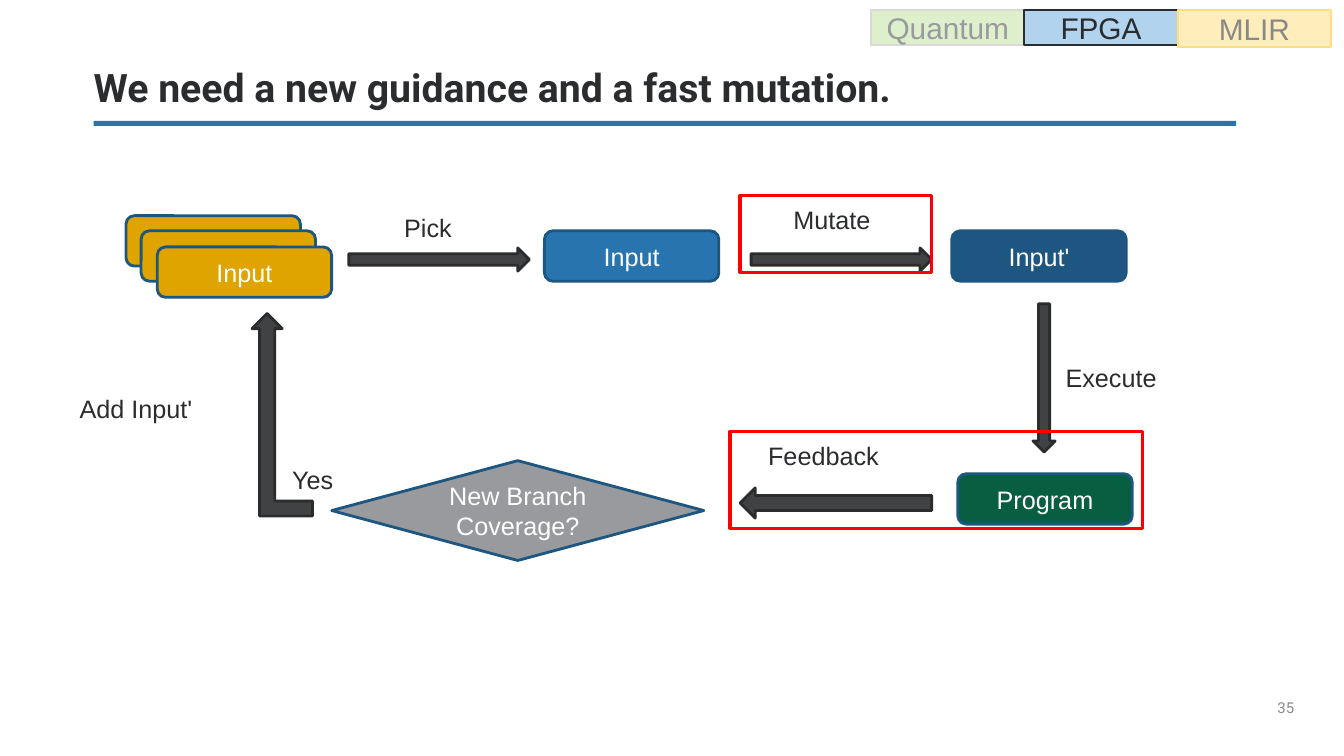
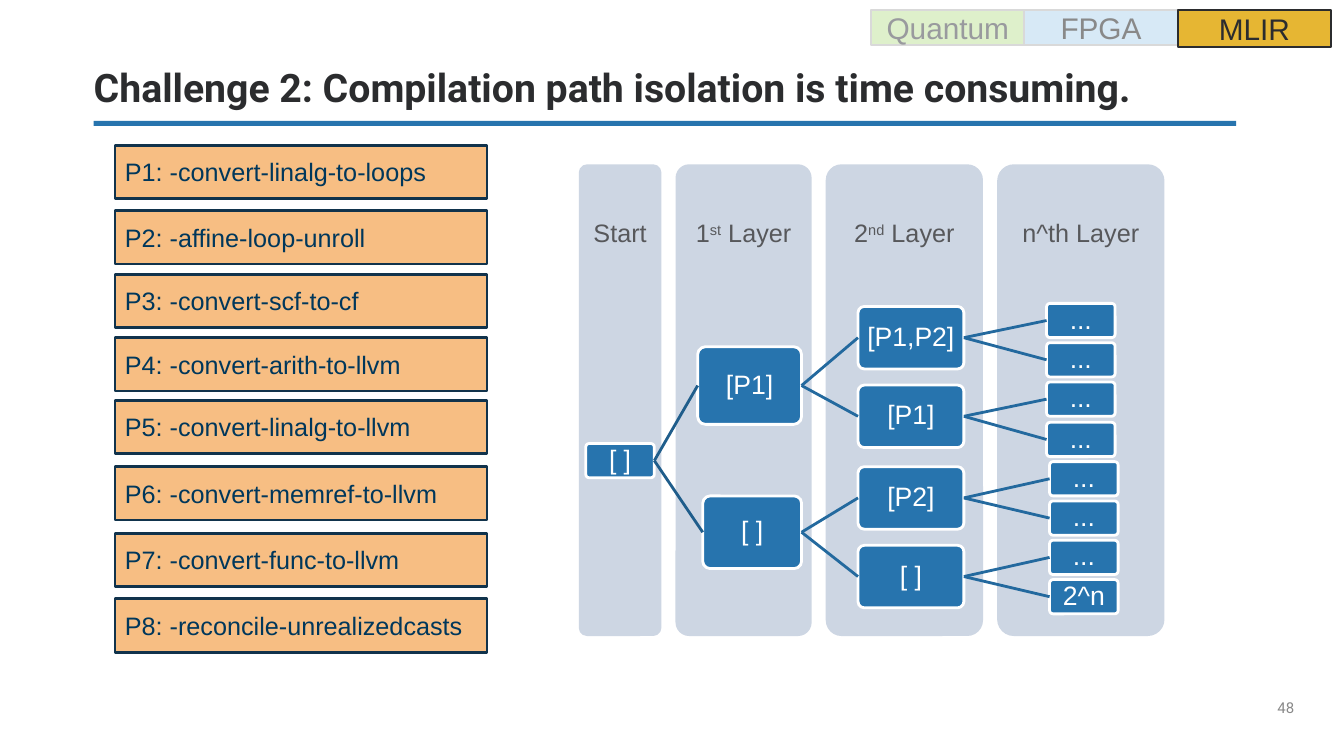
from pptx import Presentation
from pptx.dml.color import RGBColor
from pptx.enum.shapes import MSO_CONNECTOR, MSO_SHAPE as SHAPE
from pptx.enum.text import MSO_ANCHOR as ANCHOR, PP_ALIGN as ALIGN
from pptx.oxml.ns import qn
from pptx.oxml.xmlchemy import OxmlElement
from pptx.util import Pt

PX = 9144  # EMU per px, 100 px to the inch

# Colours
WHITE = RGBColor(0xFF, 0xFF, 0xFF)
INK = RGBColor(0x2B, 0x2C, 0x2E)
CHARCOAL = RGBColor(0x41, 0x42, 0x44)
SLATE = RGBColor(0x57, 0x58, 0x5B)
GREY = RGBColor(0x99, 0x9A, 0x9E)
DIM = RGBColor(0x89, 0x89, 0x89)
PALE_GREY = RGBColor(0xD9, 0xD9, 0xD9)
BLUE = RGBColor(0x27, 0x74, 0xAE)
NAVY = RGBColor(0x1D, 0x56, 0x81)
EDGE_FIRST = RGBColor(0x1F, 0x5D, 0x8B)
EDGE = RGBColor(0x23, 0x69, 0x9E)
COLUMN = RGBColor(0xCD, 0xD6, 0xE3)
GOLD = RGBColor(0xE0, 0xA4, 0x00)
GREEN = RGBColor(0x07, 0x5E, 0x41)
RED = RGBColor(0xFF, 0x00, 0x00)
PEACH = RGBColor(0xF7, 0xBE, 0x83)
PASS_LINE = RGBColor(0x11, 0x33, 0x4C)
PASS_TEXT = RGBColor(0x00, 0x37, 0x5B)
PALE_GREEN = RGBColor(0xC8, 0xE7, 0xA8)
SKY = RGBColor(0x9E, 0xC9, 0xE9)
PALE_SKY = RGBColor(0xCE, 0xE4, 0xF4)
CREAM = RGBColor(0xFF, 0xE9, 0xAA)
CREAM_LINE = RGBColor(0xFF, 0xDD, 0x80)

# Section tabs: height, opacity, dimmed and active (fill, line, text)
TABS = {
    "Quantum": (35, 59, (PALE_GREEN, PALE_GREY, GREY), (PALE_GREEN, INK, INK)),
    "FPGA": (35, 80, (PALE_SKY, PALE_GREY, DIM), (SKY, INK, INK)),
    "MLIR": (37, 80, (CREAM, CREAM_LINE, DIM), (GOLD, INK, INK)),
}


class Deck:
    BODY = {"name": "Arial", "size": Pt(18)}
    TITLE = {"name": "Roboto", "size": Pt(28), "bold": True}
    NUMBER = {"name": "Roboto", "size": Pt(10.7)}
    TAB = {"name": "Arial", "size": Pt(21.3)}
    NODE = {"name": "Arial", "size": Pt(19)}

    def __init__(self, prs):
        self.prs = prs
        self.s = None

    def slide(self, title, number):
        """Start a slide with its title, rule and page number."""
        self.s = self.prs.slides.add_slide(self.prs.slide_layouts[6])
        self.shape(SHAPE.RECTANGLE, (93, 120, 1133, 5), BLUE)
        self.label((1267, 693, 66, 46), number, DIM, self.NUMBER, inset=0)
        self.label((93, 68, 1133, 42), title, INK, self.TITLE, inset=0,
                   anchor=ANCHOR.BOTTOM, spacing=0.9)

    def put_text(self, sp, text, color, font=BODY, align=ALIGN.LEFT,
                 anchor=ANCHOR.MIDDLE, inset=None, spacing=None):
        """Fill a shape with one paragraph; odd parts of a tuple are raised."""
        tf = sp.text_frame
        frame = {"word_wrap": True, "vertical_anchor": anchor}
        if inset is not None:
            sides = ("left", "top", "right", "bottom")
            frame.update({f"margin_{side}": inset * PX for side in sides})
        for name, value in frame.items():
            setattr(tf, name, value)
        p = tf.paragraphs[0]
        p.alignment, p.line_spacing = align, spacing
        for i, part in enumerate((text,) if isinstance(text, str) else text):
            r = p.add_run()
            r.text = part
            for name, value in font.items():
                setattr(r.font, name, value)
            r.font.color.rgb = color
            if i % 2:
                r.font._element.set("baseline", "30000")

    def label(self, box, text, color=INK, font=BODY, anchor=ANCHOR.TOP, **style):
        sp = self.s.shapes.add_textbox(*(v * PX for v in box))
        self.put_text(sp, text, color, font, anchor=anchor, **style)

    def shape(self, kind, box, fill=None, line=None, width=2, opacity=100,
              adj=None, rotation=0, flip=False):
        sp = self.s.shapes.add_shape(kind, *(v * PX for v in box))
        sp.shadow.inherit = False
        sp.rotation = rotation
        if adj is not None:
            sp.adjustments[0] = adj
        if flip:
            sp._element.spPr.xfrm.set("flipH", "1")
        if fill is None:
            sp.fill.background()
        else:
            sp.fill.solid()
            sp.fill.fore_color.rgb = fill
        if opacity < 100:
            alpha = OxmlElement("a:alpha")
            alpha.set("val", str(opacity * 1000))
            sp._element.spPr.find(qn("a:solidFill"))[0].append(alpha)
        if line is None:
            sp.line.fill.background()
        else:
            sp.line.color.rgb = line
            sp.line.width = Pt(width)
        return sp

    def box(self, x, y, fill, text=None):
        """Rounded step of the flow."""
        sp = self.shape(SHAPE.ROUNDED_RECTANGLE, (x, y, 173, 50), fill, NAVY)
        if text:
            self.put_text(sp, text, WHITE, align=ALIGN.CENTER)

    def arrow(self, box, rotation=0, kind=SHAPE.RIGHT_ARROW, flip=False):
        self.shape(kind, box, CHARCOAL, INK, rotation=rotation, flip=flip)

    def frame(self, box):
        self.shape(SHAPE.RECTANGLE, box, line=RED, width=2.25)

    def node(self, box, text):
        sp = self.shape(SHAPE.ROUNDED_RECTANGLE, box, BLUE, WHITE, adj=0.1)
        self.put_text(sp, text, WHITE, self.NODE, ALIGN.CENTER, inset=1, spacing=0.9)
        return sp

    def edge(self, parent, child, color):
        c = self.s.shapes.add_connector(MSO_CONNECTOR.STRAIGHT, 0, 0, 0, 0)
        c.begin_connect(parent, 3)
        c.end_connect(child, 1)
        c.line.color.rgb = color
        c.line.width = Pt(2)
        c._element.spPr.append(OxmlElement("a:effectLst"))

    def tabs(self, active):
        for i, (name, (height, opacity, dimmed, lit)) in enumerate(TABS.items()):
            fill, line, color = lit if name == active else dimmed
            sp = self.shape(SHAPE.RECTANGLE, (864 + 152 * i, 10, 152, height),
                            fill, line, 1.5, opacity)
            self.put_text(sp, name, color, self.TAB, ALIGN.CENTER)


def fuzzing_loop(deck):
    deck.slide("We need a new guidance and a fast mutation.", "35")

    # Steps
    for x, y, text in ((125, 214, None), (140, 229, None), (156, 245, "Input")):
        deck.box(x, y, GOLD, text)
    deck.box(540, 229, BLUE, "Input")
    deck.box(944, 229, NAVY, "Input'")
    deck.box(950, 470, GREEN, "Program")
    sp = deck.shape(SHAPE.FLOWCHART_DECISION, (329, 457, 369, 99), GREY, NAVY)
    deck.put_text(sp, "New Branch Coverage?", WHITE, align=ALIGN.CENTER)

    # Arrows
    for x in (346, 745):
        deck.arrow((x, 246, 179, 23))
    deck.arrow((962, 364, 147, 22), rotation=90)
    deck.arrow((734, 484, 190, 30), rotation=180)
    deck.arrow((250, 311, 60, 201), kind=SHAPE.BENT_UP_ARROW, flip=True)

    # Arrow labels
    for x, y, w, text in (
        (391, 206, 91, "Pick"), (777, 198, 132, "Mutate"),
        (752, 432, 132, "Feedback"), (1047, 355, 132, "Execute"),
        (69, 385, 175, "Add Input'"), (280, 456, 74, "Yes"),
    ):
        deck.label((x, y, w, 40), text)

    # Highlights
    deck.frame((734, 194, 190, 76))
    deck.frame((724, 428, 409, 96))
    deck.tabs("FPGA")


def pass_tree(deck):
    deck.slide("Challenge 2: Compilation path isolation is time consuming.", "48")

    # Compiler passes
    passes = ("convert-linalg-to-loops", "affine-loop-unroll", "convert-scf-to-cf",
              "convert-arith-to-llvm", "convert-linalg-to-llvm",
              "convert-memref-to-llvm", "convert-func-to-llvm",
              "reconcile-unrealizedcasts")
    tops = (144, 209, 272, 335, 397, 463, 529, 594)
    for i, (y, name) in enumerate(zip(tops, passes), 1):
        sp = deck.shape(SHAPE.RECTANGLE, (114, y, 369, 53), PEACH, PASS_LINE)
        deck.put_text(sp, f"P{i}: -{name}", PASS_TEXT)

    # Layer columns
    x = 574
    for w, heading in ((82, "Start"), (135, ("1", "st", " Layer")),
                       (156, ("2", "nd", " Layer")), (166, "n^th Layer")):
        deck.shape(SHAPE.ROUNDED_RECTANGLE, (x, 163, w, 468), COLUMN, adj=0.1)
        deck.label((x, 163, w, 140), heading, SLATE, anchor=ANCHOR.MIDDLE,
                   align=ALIGN.CENTER, inset=0, spacing=0.9)
        x += w + 14

    # Binary tree: node i of a level hangs from node i // 2 of the level before
    levels = (
        [((581, 440, 68, 34), "[ ]")],
        [((692, 344, 103, 77), "[P1]"), ((697, 492, 98, 72), "[ ]")],
        [((851, y, 105, 62), text) for y, text in
         ((304, "[P1,P2]"), (382, "[P1]"), (463, "[P2]"), (541, "[ ]"))],
        [((1038 + 3 * (i // 4), round(301 + 39.2 * i), 68, 34),
          "2^n" if i == 7 else "...") for i in range(8)],
    )
    parents = []
    for depth, level in enumerate(levels):
        nodes = [deck.node(box, text) for box, text in level]
        if parents:
            for i, child in enumerate(nodes):
                deck.edge(parents[i // 2], child, EDGE_FIRST if depth == 1 else EDGE)
        parents = nodes
    deck.tabs("MLIR")


def main():
    prs = Presentation()
    prs.slide_width, prs.slide_height = 1333 * PX, 750 * PX
    deck = Deck(prs)
    fuzzing_loop(deck)
    pass_tree(deck)
    prs.save("out.pptx")


if __name__ == "__main__":
    main()
